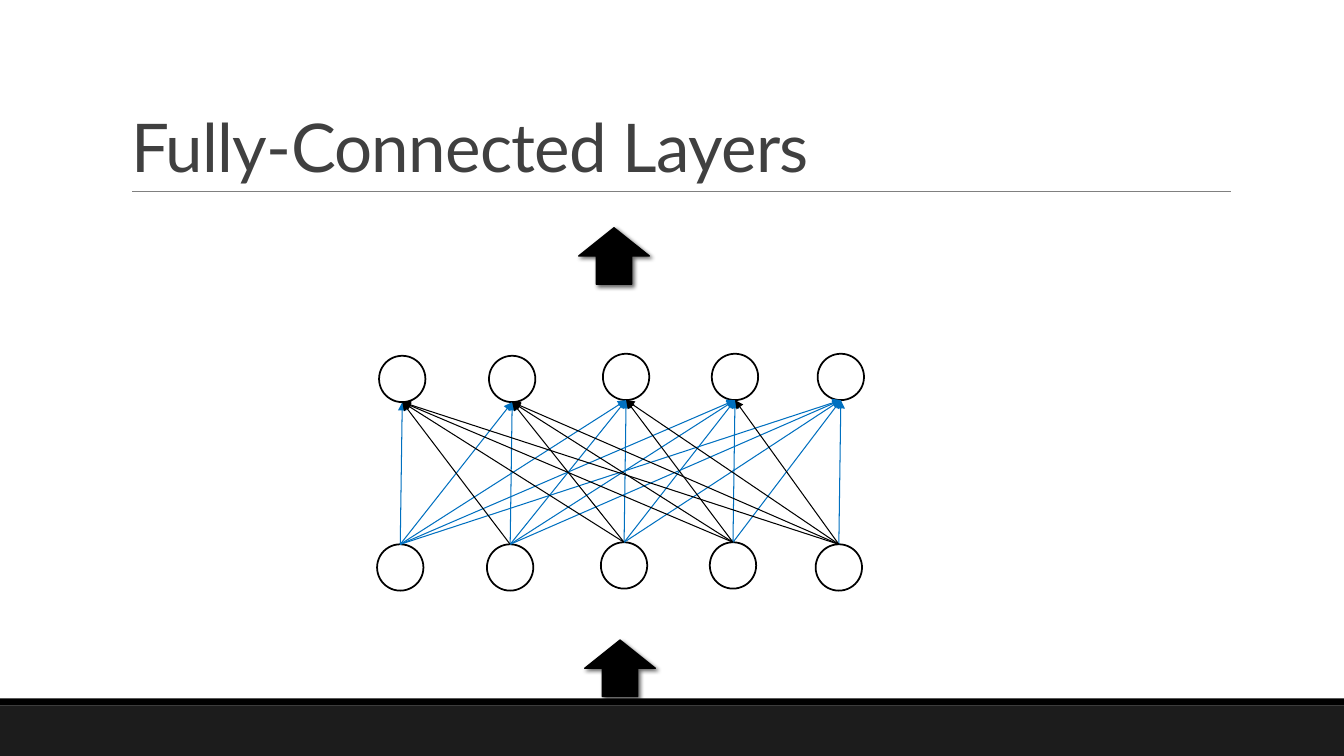
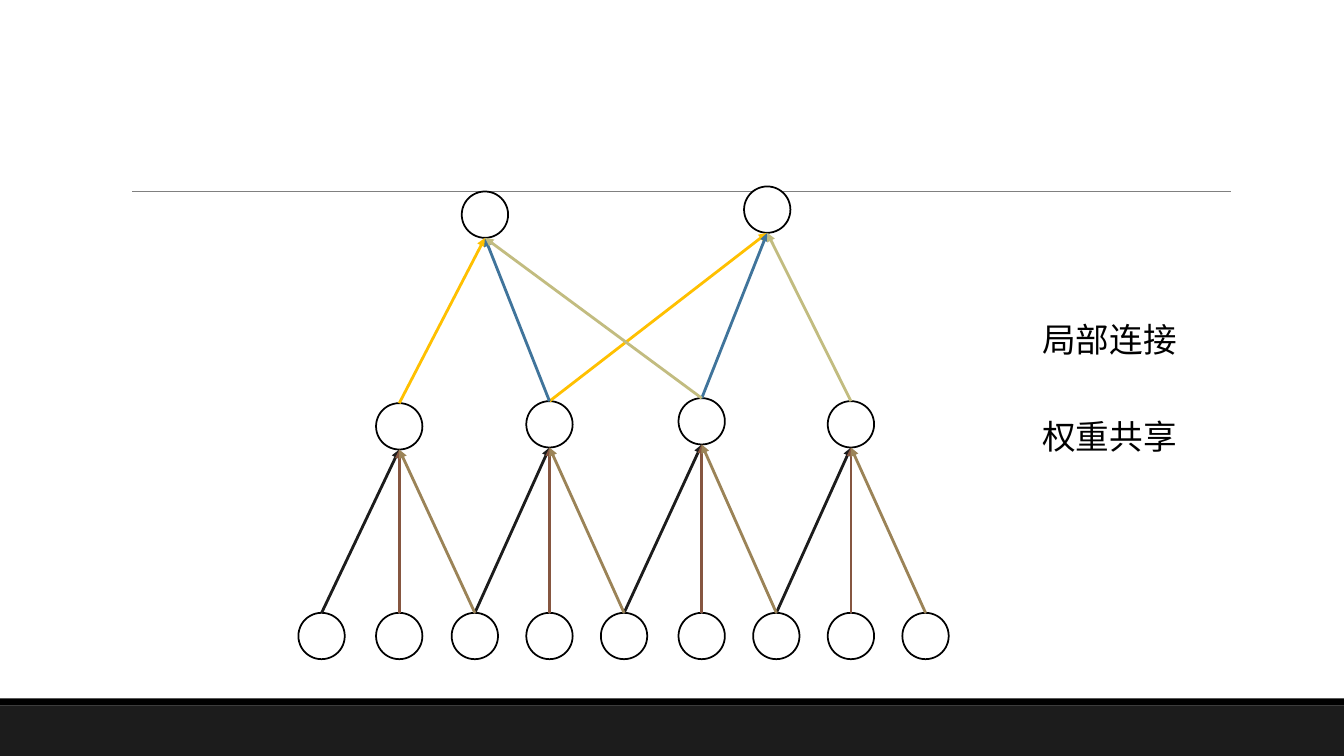
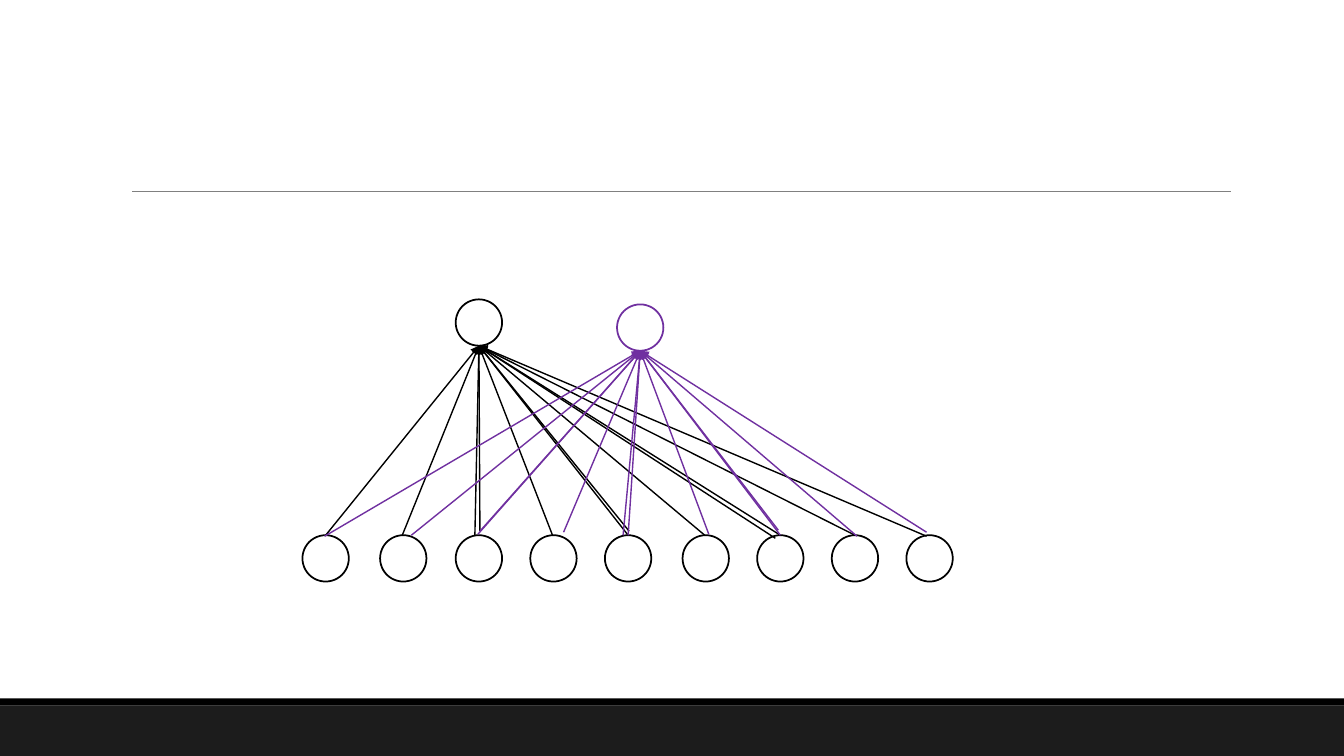
"""Build three slides on fully connected, locally connected and weight-sharing layers."""
from collections import namedtuple
from itertools import product

from pptx import Presentation
from pptx.dml.color import RGBColor
from pptx.enum.shapes import MSO_CONNECTOR as Connector, MSO_SHAPE as Preset
from pptx.enum.text import MSO_ANCHOR as Anchor, MSO_AUTO_SIZE as AutoSize, PP_ALIGN as Align
from pptx.oxml.ns import qn
from pptx.util import Inches, Pt
from lxml.etree import SubElement

COLORS = {
    "white": "FFFFFF", "black": "000000", "band": "1C1C1C", "rule": "808080",
    "title": "404040", "blue": "0070C0", "purple": "7030A0", "brown": "865640",
    "tan": "9B8357", "gold": "FFC000", "steel": "40749B", "olive": "C2BC80",
}
UNIT_SIZE = 0.46
TITLE_ONLY, BLANK = 5, 6
Unit = namedtuple("Unit", "top bottom")


def rgb(color):
    return RGBColor.from_string(COLORS[color])


class Deck:
    def __init__(self):
        self.deck = Presentation()
        self.deck.slide_width, self.deck.slide_height = Inches(13.33), Inches(7.5)

    def new_slide(self, title=None):
        layout = self.deck.slide_layouts[TITLE_ONLY if title else BLANK]
        self.slide = self.deck.slides.add_slide(layout)
        self.shape(Preset.RECTANGLE, 0, 7, 13.33, 0.5, "band")
        self.shape(Preset.RECTANGLE, 0, 6.93, 13.33, 0.07, "black")
        self.line((1.31, 1.9), (12.21, 1.9), "rule", 0.5)
        if title:
            self.title(title)

    def title(self, text):
        heading = self.slide.shapes.title
        heading.left, heading.top = Inches(1.2), Inches(0.31)
        heading.width, heading.height = Inches(11), Inches(1.59)
        frame = heading.text_frame
        frame.text = text
        frame.auto_size = AutoSize.NONE
        frame.vertical_anchor = Anchor.BOTTOM
        paragraph = frame.paragraphs[0]
        paragraph.alignment = Align.LEFT
        paragraph.line_spacing = 0.85
        self.font(paragraph, "Lato", 48, "title")
        paragraph._p.pPr.find(qn("a:defRPr")).set("spc", "-50")

    def font(self, paragraph, name, size, color):
        paragraph.font.name, paragraph.font.size = name, Pt(size)
        paragraph.font.color.rgb = rgb(color)

    def shape(self, preset, left, top, width, height, fill, outline=None, weight=1):
        shape = self.slide.shapes.add_shape(
            preset, Inches(left), Inches(top), Inches(width), Inches(height))
        shape.shadow.inherit = False
        shape.fill.solid()
        shape.fill.fore_color.rgb = rgb(fill)
        if outline:
            shape.line.color.rgb = rgb(outline)
            shape.line.width = Pt(weight)
        else:
            shape.line.fill.background()
        return shape

    def line(self, start, end, color, weight):
        connector = self.slide.shapes.add_connector(
            Connector.STRAIGHT, *(Inches(value) for value in (*start, *end)))
        connector.line.color.rgb = rgb(color)
        connector.line.width = Pt(weight)
        SubElement(connector._element.spPr, qn("a:effectLst"))
        return connector

    def arrow(self, start, end, color, weight):
        outline = self.line(start, end, color, weight)._element.spPr.find(qn("a:ln"))
        SubElement(outline, qn("a:tailEnd"), type="triangle")

    def block_arrow(self, left, top):
        arrow = self.shape(Preset.UP_ARROW, left, top, 0.7, 0.56, "black", "black")
        effects = arrow._element.spPr.find(qn("a:effectLst"))
        shadow = SubElement(effects, qn("a:outerShdw"), blurRad=str(Pt(3)),
                            dist=str(Pt(2)), dir="2700000", rotWithShape="0")
        tint = SubElement(shadow, qn("a:srgbClr"), val=COLORS["black"])
        SubElement(tint, qn("a:alpha"), val="60000")

    def unit(self, left, top, outline="black"):
        self.shape(Preset.OVAL, left, top, UNIT_SIZE, UNIT_SIZE, "white", outline, 1.25)
        center = left + UNIT_SIZE / 2
        return Unit((center, top), (center, top + UNIT_SIZE))

    def layer(self, lefts, tops):
        return [self.unit(left, top) for left, top in zip(lefts, tops)]

    def local_links(self, inputs, outputs, stride, colors, weight=2):
        for offset, color in enumerate(colors):
            for index, output in enumerate(outputs):
                self.arrow(inputs[index * stride + offset].top, output.bottom, color, weight)

    def label(self, text, left, top):
        box = self.slide.shapes.add_textbox(
            Inches(left), Inches(top), Inches(1.55), Inches(0.5))
        frame = box.text_frame
        frame.text = text
        frame.word_wrap = False
        frame.auto_size = AutoSize.SHAPE_TO_FIT_TEXT
        self.font(frame.paragraphs[0], "Calibri", 24, "black")


def fully_connected(deck):
    deck.new_slide("Fully-Connected Layers")
    inputs = deck.layer((3.74, 4.83, 5.96, 7.04, 8.09), (5.4, 5.4, 5.38, 5.38, 5.4))
    outputs = deck.layer((3.76, 4.85, 5.98, 7.06, 8.11), (3.53, 3.53, 3.51, 3.51, 3.51))
    deck.block_arrow(5.8, 6.35)
    deck.block_arrow(5.74, 2.26)
    pairs = list(product(range(5), repeat=2))
    for color, forward in (("blue", True), ("black", False)):
        for source, target in pairs:
            if (target >= source) == forward:
                deck.arrow(inputs[source].top, outputs[target].bottom, color, 0.75)


def locally_connected(deck, input_lefts):
    deck.new_slide()
    inputs = deck.layer(input_lefts, [6.08] * 9)
    hidden = deck.layer(input_lefts[1::2], (4, 3.98, 3.95, 3.98))
    deck.local_links(inputs, hidden, 2, ("band", "brown", "tan"))
    outputs = deck.layer((4.58, 7.38), (1.9, 1.85))
    deck.local_links(hidden, outputs, 1, ("gold", "steel", "olive"))
    deck.label("局部连接", 10.24, 3.11)
    deck.label("权重共享", 10.24, 4.08)


def two_outputs(deck, input_lefts):
    deck.new_slide()
    deck.layer([left + 0.04 for left in input_lefts], [5.31] * 9)
    black_starts = [
        (3.23, 5.31), (3.99, 5.31), (4.76, 5.27), (4.71, 5.31), (5.48, 5.31), (6.24, 5.27),
        (6.23, 5.31), (6.99, 5.31), (7.74, 5.31), (7.69, 5.34), (8.48, 5.31), (9.19, 5.32)]
    purple_starts = [
        (3.22, 5.32), (4.08, 5.31), (4.76, 5.27), (4.74, 5.3), (5.59, 5.28), (6.23, 5.31),
        (6.18, 5.31), (7.03, 5.3), (7.72, 5.26), (7.74, 5.31), (8.5, 5.32), (9.19, 5.28)]
    for left, top, color, starts in ((4.52, 2.97, "black", black_starts),
                                     (6.12, 3.02, "purple", purple_starts)):
        output = deck.unit(left, top, color)
        for start in starts:
            deck.arrow(start, output.bottom, color, 1)


def main():
    deck = Deck()
    input_lefts = (2.96, 3.73, 4.48, 5.22, 5.96, 6.73, 7.47, 8.21, 8.95)
    fully_connected(deck)
    locally_connected(deck, input_lefts)
    two_outputs(deck, input_lefts)
    deck.deck.save("out.pptx")


if __name__ == "__main__":
    main()
